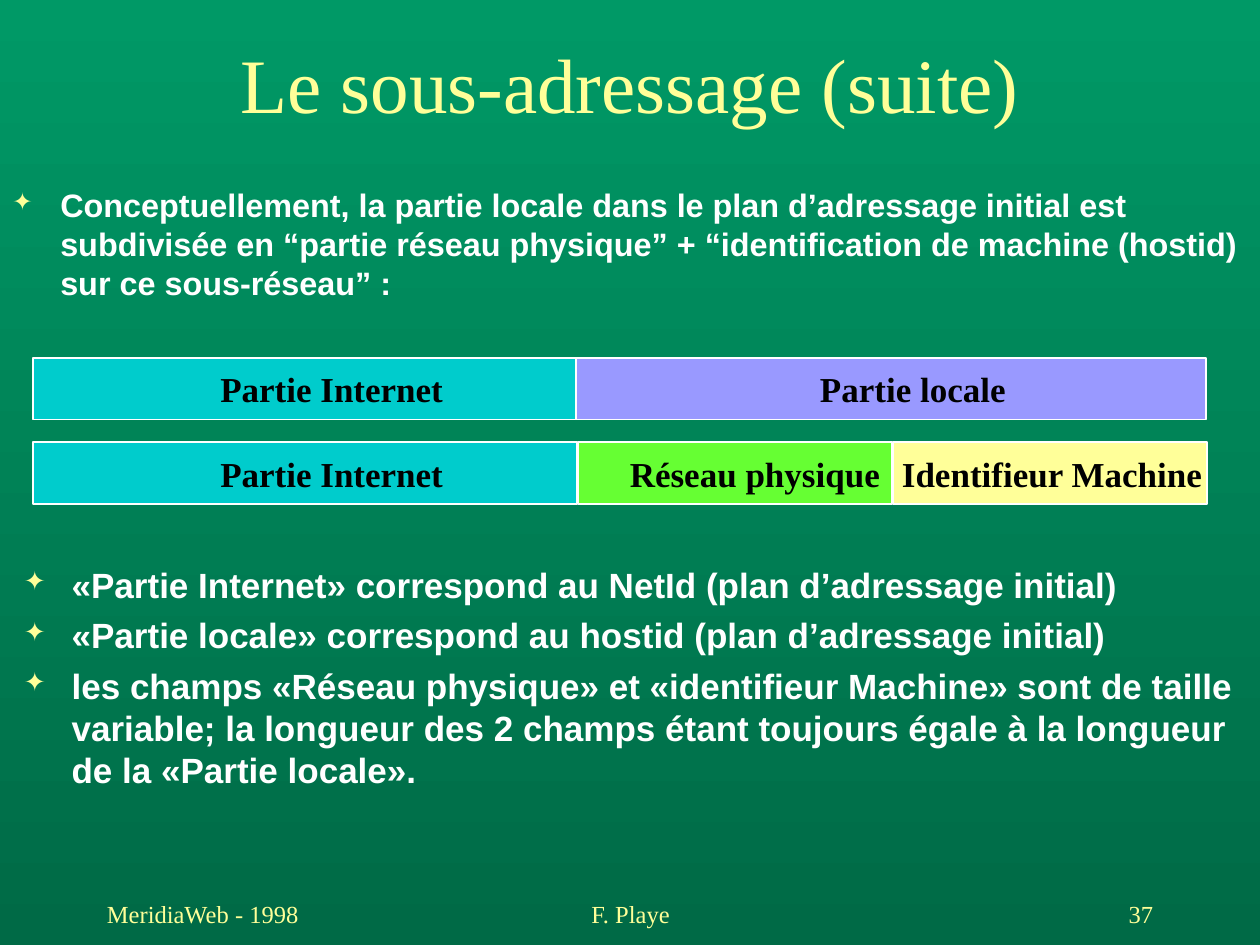
import pptx
import pptx.dml.color
import pptx.enum.shapes
import pptx.enum.text
import pptx.oxml.ns
import pptx.util
from lxml import etree

Inches = pptx.util.Inches
Pt = pptx.util.Pt
RGBColor = pptx.dml.color.RGBColor
ALIGN = pptx.enum.text.PP_ALIGN
ANCHOR = pptx.enum.text.MSO_ANCHOR

COLORS = {
    "gradient_top": "009966",
    "gradient_bottom": "006A46",
    "cream": "FFFF99",
    "white": "FFFFFF",
    "black": "000000",
    "internet": "00CCCC",
    "local": "9999FF",
    "network": "66FF33",
}
SERIF = "Times New Roman"
SANS = "Arial"

presentation = pptx.Presentation()
presentation.slide_width = Inches(10)
presentation.slide_height = Inches(7.5)
slide = presentation.slides.add_slide(presentation.slide_layouts[6])


def add_bullet(paragraph):
    properties = paragraph._p.get_or_add_pPr()
    properties.set("marL", str(Inches(0.38)))
    properties.set("indent", str(-Inches(0.38)))
    qn = pptx.oxml.ns.qn
    color = etree.SubElement(properties, qn("a:buClr"))
    etree.SubElement(color, qn("a:srgbClr"), val=COLORS["cream"])
    etree.SubElement(properties, qn("a:buSzPct"), val="75000")
    etree.SubElement(properties, qn("a:buChar"), char="✦")


def add_text(text, left, top, width, height, size=20, font=SERIF, color="cream",
             bold=False, align=ALIGN.LEFT, anchor=ANCHOR.TOP, bullet=False, wrap=True):
    box = slide.shapes.add_textbox(Inches(left), Inches(top), Inches(width), Inches(height))
    frame = box.text_frame
    frame.word_wrap = wrap
    frame.vertical_anchor = anchor
    frame.text = text
    for index, paragraph in enumerate(frame.paragraphs):
        if bullet:
            add_bullet(paragraph)
        if index > 0:
            paragraph.space_before = Pt(5)
        paragraph.alignment = align
        paragraph.font.size = Pt(size)
        paragraph.font.name = font
        paragraph.font.bold = bold
        paragraph.font.color.rgb = RGBColor.from_string(COLORS[color])


# Background gradient, from top to bottom
background = slide.background.fill
background.gradient()
background.gradient_angle = 270
for stop, name in zip(background.gradient_stops, ("gradient_top", "gradient_bottom")):
    stop.color.rgb = RGBColor.from_string(COLORS[name])

# Title and introduction
add_text("Le sous-adressage (suite)", 0, 0.31, 10, 0.69, size=44,
         align=ALIGN.CENTER, anchor=ANCHOR.MIDDLE)
add_text("Conceptuellement, la partie locale dans le plan d’adressage initial est "
         "subdivisée en “partie réseau physique” + “identification de machine (hostid) "
         "sur ce sous-réseau” :",
         0, 1.42, 9.92, 1.08, size=18.5, font=SANS, color="white", bold=True, bullet=True)

# Address fields: label, fill, top, left, width, label left
fields = [
    ("Partie Internet", "internet", 2.84, 0.26, 4.32, 1.65),
    ("Partie locale", "local", 2.84, 4.57, 5, 6.41),
    ("Partie Internet", "internet", 3.51, 0.26, 4.32, 1.65),
    ("Réseau physique", "network", 3.51, 4.59, 2.49, 4.9),
    ("Identifieur Machine", "cream", 3.51, 7.09, 2.49, 7.06),
]
for label, fill, top, left, width, label_left in fields:
    field = slide.shapes.add_shape(pptx.enum.shapes.MSO_SHAPE.RECTANGLE, Inches(left),
                                   Inches(top), Inches(width), Inches(0.49))
    field.shadow.inherit = False
    field.fill.solid()
    field.fill.fore_color.rgb = RGBColor.from_string(COLORS[fill])
    field.line.color.rgb = RGBColor.from_string(COLORS["white"])
    field.line.width = Pt(1)
    label_width = 2.77 if label == "Identifieur Machine" else 2.5
    add_text(label, label_left, top + 0.03, label_width, 0.43, color="black", bold=True)

# Explanations
add_text("\n".join([
    "«Partie Internet» correspond au NetId (plan d’adressage initial)",
    "«Partie locale» correspond au hostid (plan d’adressage initial)",
    "les champs «Réseau physique» et «identifieur Machine» sont de taille variable; "
    "la longueur des 2 champs étant toujours égale à la longueur de la «Partie locale».",
]), 0.09, 4.42, 9.92, 1.92, font=SANS, color="white", bold=True, bullet=True)

# Footer
for text, left, width, align in [
    ("MeridiaWeb - 1998", 0.75, 2.08, ALIGN.LEFT),
    ("F. Playe", 3.42, 3.17, ALIGN.CENTER),
    ("37", 7.17, 2.08, ALIGN.RIGHT),
]:
    add_text(text, left, 7, width, 0.5, size=14, align=align, anchor=ANCHOR.MIDDLE)

presentation.save("out.pptx")
